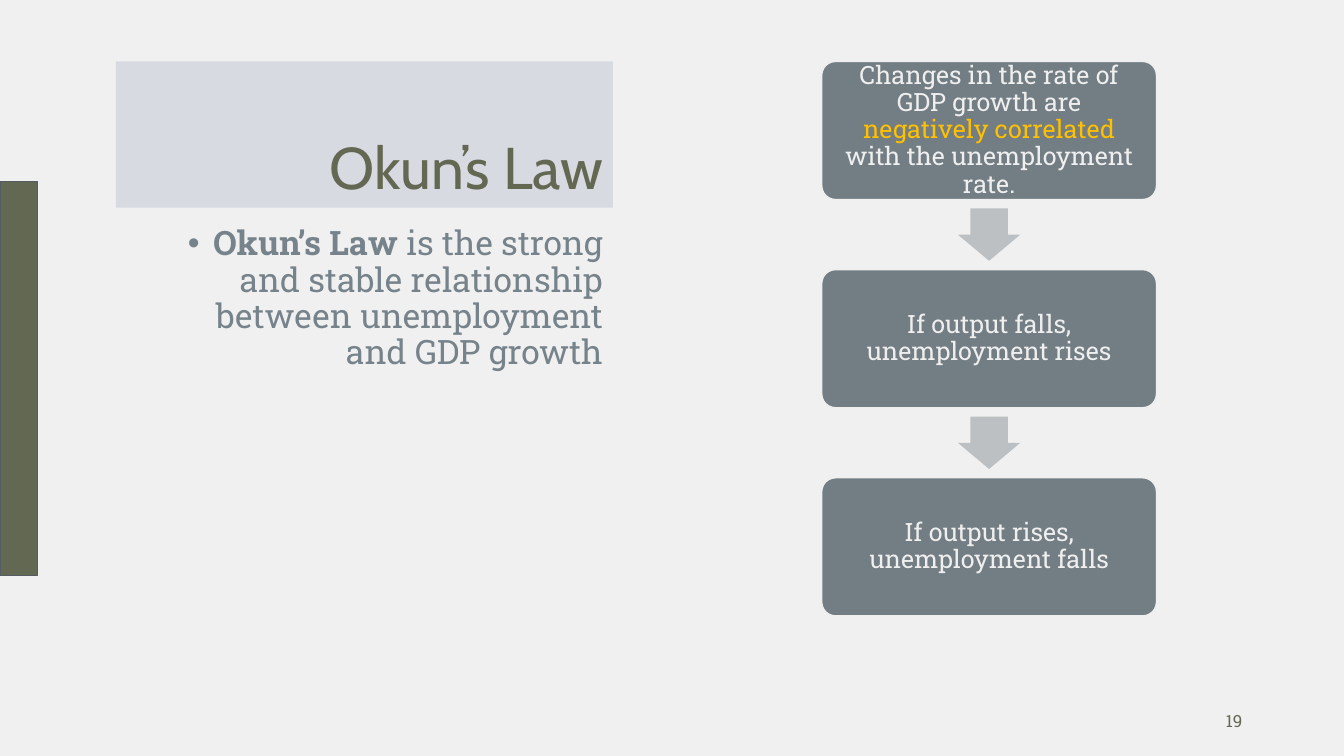
from dataclasses import dataclass

from lxml.etree import SubElement
from pptx import Presentation
from pptx.dml.color import RGBColor
from pptx.enum.shapes import MSO_SHAPE as Preset
from pptx.enum.text import MSO_ANCHOR as Anchor, MSO_AUTO_SIZE as AutoSize, PP_ALIGN as Align
from pptx.oxml.ns import qn
from pptx.util import Inches, Pt

COLOURS = {
    "page": "F0F0F0", "olive": "636852", "bar_edge": "555D62", "title_band": "D7DAE1",
    "body": "76838B", "step": "737E84", "light": "EFEFEF", "accent": "FFC000", "arrow": "BCC0C2",
}
SLAB = "Roboto Slab"
FIRST_TOP, LAST_TOP = 0.61, 4.74
STEP_LEFT, STEP_WIDTH, STEP_HEIGHT = 8.15, 3.32, 1.37
ARROW_WIDTH, ARROW_HEIGHT = 0.62, 0.52


@dataclass
class Words:
    text: str
    colour: str
    size: float
    font: str = SLAB
    bold: bool = False


@dataclass
class Block:
    preset: Preset
    box: tuple[float, float, float, float]
    fill: str
    edge: str | None = None
    adjustments: tuple[float, ...] = ()


STEPS = [
    [Words("Changes in the rate of GDP growth are ", "light", 18),
     Words("negatively correlated ", "accent", 18),
     Words("with the unemployment rate.", "light", 18)],
    [Words("If output falls, unemployment rises", "light", 18)],
    [Words("If output rises, unemployment falls", "light", 18)],
]


def rgb(name: str) -> RGBColor:
    """Return the named colour."""
    return RGBColor.from_string(COLOURS[name])


def apply(target, values: dict) -> None:
    """Set every attribute listed in values."""
    for name, value in values.items():
        setattr(target, name, value)


def place(shape, box: tuple[float, float, float, float]) -> None:
    """Move and size a shape in inches."""
    apply(shape, dict(zip(("left", "top", "width", "height"), map(Inches, box))))


def write(shape, words: list[Words], align: Align, anchor: Anchor,
          spacing: float = 0.9, bullet: str = "", margin: float | None = None) -> None:
    """Fill a shape with one formatted paragraph."""
    frame = shape.text_frame
    apply(frame, {"word_wrap": True, "auto_size": AutoSize.NONE, "vertical_anchor": anchor})
    if margin is not None:
        apply(frame, {f"margin_{side}": Inches(margin)
                      for side in ("left", "top", "right", "bottom")})
    paragraph = frame.paragraphs[0]
    if bullet:
        properties = paragraph._p.get_or_add_pPr()
        properties.set("marL", str(Inches(0.25)))
        properties.set("indent", str(Inches(-0.25)))
        SubElement(properties, qn("a:buFont")).set("typeface", "Arial")
        SubElement(properties, qn("a:buChar")).set("char", bullet)
    apply(paragraph, {"alignment": align, "line_spacing": spacing, "space_before": Pt(0)})
    for part in words:
        run = paragraph.add_run()
        run.text = part.text
        apply(run.font, {"name": part.font, "size": Pt(part.size), "bold": part.bold})
        run.font.color.rgb = rgb(part.colour)


def draw(slide, block: Block):
    """Add a filled preset shape."""
    shape = slide.shapes.add_shape(block.preset, *map(Inches, block.box))
    shape.shadow.inherit = False
    shape.fill.solid()
    shape.fill.fore_color.rgb = rgb(block.fill)
    if block.edge:
        shape.line.color.rgb = rgb(block.edge)
        shape.line.width = Pt(1)
    else:
        shape.line.fill.background()
    for index, value in enumerate(block.adjustments):
        shape.adjustments[index] = value
    return shape


def draw_steps(slide) -> None:
    """Stack the steps with an arrow centred in each gap."""
    pitch = (LAST_TOP - FIRST_TOP) / (len(STEPS) - 1)
    arrow_left = STEP_LEFT + (STEP_WIDTH - ARROW_WIDTH) / 2
    arrow_drop = (STEP_HEIGHT + pitch - ARROW_HEIGHT) / 2
    for index, words in enumerate(STEPS):
        top = FIRST_TOP + index * pitch
        step = draw(slide, Block(Preset.ROUNDED_RECTANGLE,
                                 (STEP_LEFT, top, STEP_WIDTH, STEP_HEIGHT),
                                 "step", "light", (0.1,)))
        write(step, words, Align.CENTER, Anchor.MIDDLE, margin=0.07)
        if index < len(STEPS) - 1:
            draw(slide, Block(Preset.DOWN_ARROW,
                              (arrow_left, top + arrow_drop, ARROW_WIDTH, ARROW_HEIGHT),
                              "arrow", adjustments=(0.6, 0.5)))


def main() -> None:
    """Build and save the slide."""
    deck = Presentation()
    apply(deck, {"slide_width": Inches(13.33), "slide_height": Inches(7.5)})
    slide = deck.slides.add_slide(deck.slide_layouts[1])
    slide.background.fill.solid()
    slide.background.fill.fore_color.rgb = rgb("page")

    title, definition = slide.placeholders
    place(title, (1.15, 0.61, 4.93, 1.45))
    title.fill.solid()
    title.fill.fore_color.rgb = rgb("title_band")
    write(title, [Words("Okun’s Law", "olive", 42, "Cabin")], Align.RIGHT, Anchor.BOTTOM)

    place(definition, (1.15, 2.2, 4.93, 3.91))
    write(definition, [
        Words("Okun’s Law ", "body", 24, bold=True),
        Words("is the strong and stable relationship between unemployment and GDP growth",
              "body", 24),
    ], Align.RIGHT, Anchor.TOP, bullet="•")

    draw(slide, Block(Preset.RECTANGLE, (0, 1.8, 0.37, 3.91), "olive", "bar_edge"))
    draw_steps(slide)

    page_number = slide.shapes.add_textbox(*map(Inches, (9.42, 6.95, 3, 0.4)))
    write(page_number, [Words("19", "olive", 12)], Align.RIGHT, Anchor.MIDDLE, spacing=1.0)
    deck.save("out.pptx")


if __name__ == "__main__":
    main()
